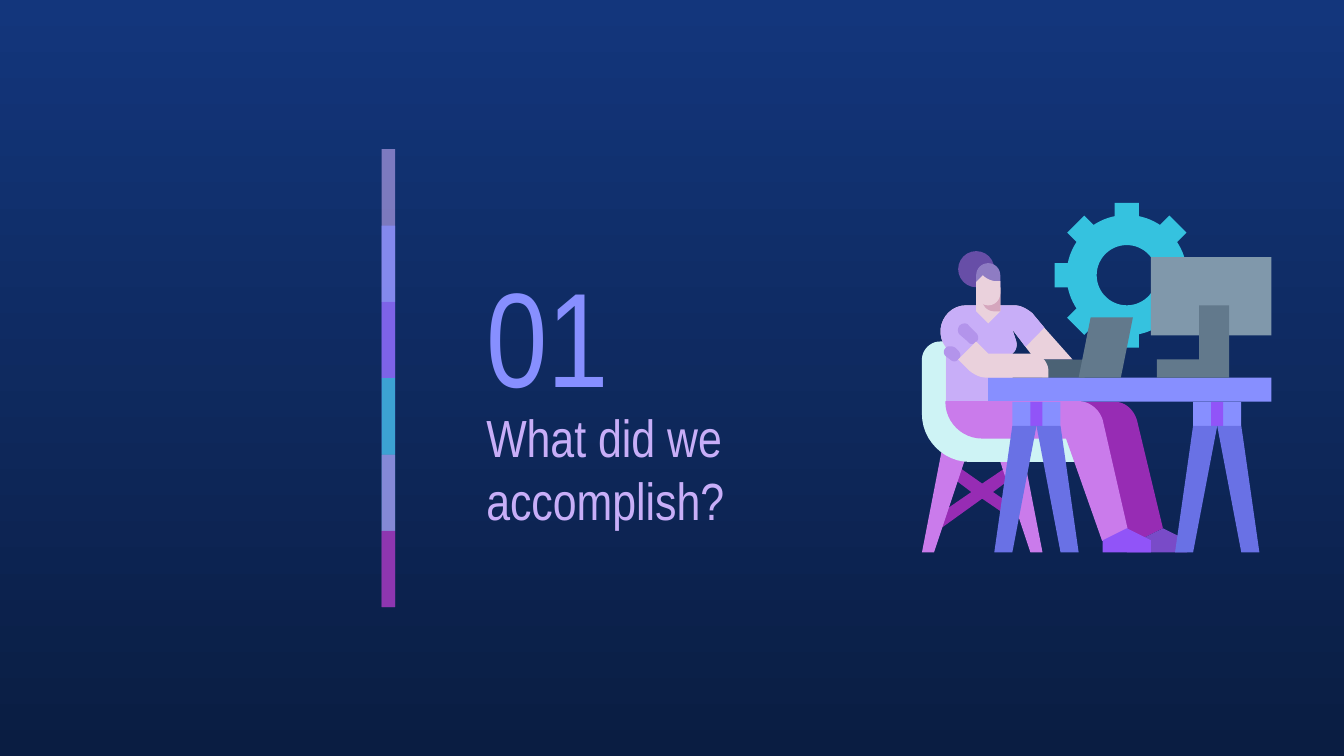
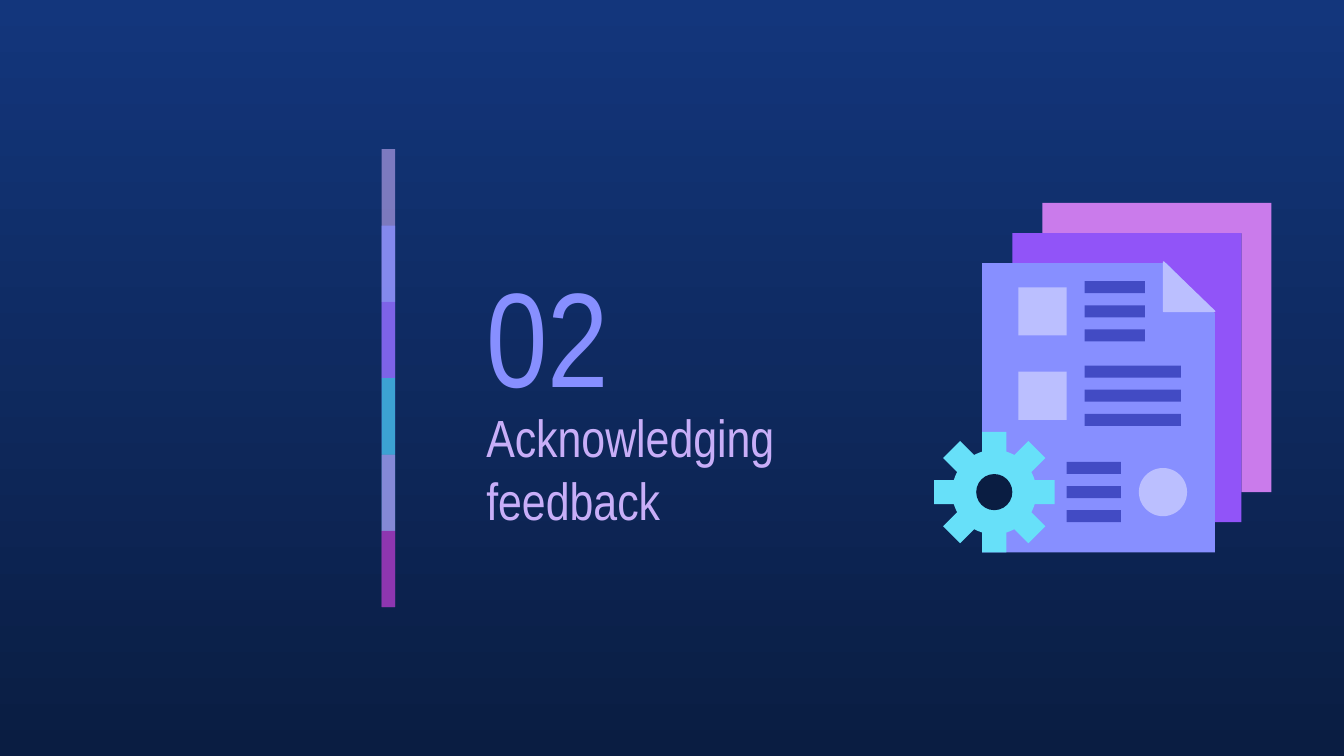
import math

import lxml.etree
import pptx
import pptx.dml.color
import pptx.enum.shapes
import pptx.enum.text
import pptx.oxml.ns
import pptx.util

FONT = "Arial Narrow"
NAVY, LILAC, BLUE, VIOLET = "0A1D42", "C8AEF8", "878FFF", "9154F8"
CYAN, PINK, PLUM, SKIN = "35C2DF", "CA7BEB", "972CB4", "EAD1DC"
SLATE, PALE, INK, INDIGO = "62798C", "BBBFFF", "424BC4", "6971E5"
CUFF = "B394EB"

# Grids: left, top and cell size in inches
PAGE = (0, 0, 0.1)
ART = (6.86, 1.51, 2.6 / 58)

KIND = pptx.enum.shapes.MSO_SHAPE


def paint(text):
    return pptx.dml.color.RGBColor.from_string(text)


def trace(text):
    """Turn 'x y' corners and six-number curves into a list of points."""
    points = []
    for part in text.split(","):
        nums = [float(n) for n in part.split()]
        if len(nums) == 2:
            points.append(tuple(nums))
            continue
        knots = [points[-1]] + list(zip(nums[::2], nums[1::2]))
        for step in range(1, 13):
            t = step / 12
            mix = ((1 - t) ** 3, 3 * t * (1 - t) ** 2, 3 * t * t * (1 - t), t ** 3)
            points.append(tuple(sum(m * k[i] for m, k in zip(mix, knots)) for i in (0, 1)))
    return points


def ring(x, y, radius, count=60):
    """Points of a circle, running anticlockwise."""
    turn = 2 * math.pi / count
    return [(x + radius * math.cos(i * turn), y - radius * math.sin(i * turn))
            for i in range(count)]


class Deck:
    def __init__(self):
        self.file = pptx.Presentation()
        self.file.slide_width = pptx.util.Inches(10)
        self.file.slide_height = pptx.util.Inches(5.625)
        self.grid = PAGE
        fill = self.file.slide_master.background.fill
        fill.gradient()
        fill.gradient_angle = 270
        for stop, place, color in zip(fill.gradient_stops, (0, 1), ("13367C", NAVY)):
            stop.position = place
            stop.color.rgb = paint(color)

    def size(self, cells):
        return pptx.util.Inches(cells * self.grid[2])

    def spot(self, x, y):
        left, top, cell = self.grid
        return pptx.util.Inches(left + x * cell), pptx.util.Inches(top + y * cell)

    def style(self, shape, color, line=None):
        shape.shadow.inherit = False
        shape.fill.solid()
        shape.fill.fore_color.rgb = paint(color)
        if line:
            shape.line.color.rgb = paint(line)
            shape.line.width = pptx.util.Pt(0.75)
        else:
            shape.line.fill.background()
        return shape

    def rect(self, x, y, w, h, color, kind=KIND.RECTANGLE):
        shape = self.slide.shapes.add_shape(
            kind, *self.spot(x, y), self.size(w), self.size(h))
        return self.style(shape, color)

    def disc(self, x, y, radius, color):
        self.rect(x - radius, y - radius, 2 * radius, 2 * radius, color, KIND.OVAL)

    def glass(self, x, y, w, h, color, share):
        shape = self.rect(x, y, w, h, color)
        tint = shape.element.spPr.find(".//" + pptx.oxml.ns.qn("a:srgbClr"))
        alpha = lxml.etree.SubElement(tint, pptx.oxml.ns.qn("a:alpha"))
        alpha.set("val", str(share * 1000))

    def loops(self, loops, color, line=None):
        pen = None
        for loop in loops:
            first, *rest = [self.spot(*point) for point in loop]
            if pen is None:
                pen = self.slide.shapes.build_freeform(*first, scale=1.0)
            else:
                pen.move_to(*first)
            pen.add_line_segments(rest, close=True)
        self.style(pen.convert_to_shape(), color, line)

    def free(self, text, color, line=None):
        self.loops([trace(text)], color, line)

    def gear(self, x, y, tip, body, color, hole=0):
        """Eight teeth, each four cells wide, on a round body."""
        rim = []
        root = math.asin(2 / body)
        for tooth in range(8):
            a = tooth * math.pi / 4
            for out, side in ((tip, -2), (tip, 2)):
                rim.append((x + out * math.cos(a) - side * math.sin(a),
                            y + out * math.sin(a) + side * math.cos(a)))
            gap = math.pi / 4 - 2 * root
            for step in range(7):
                b = a + root + gap * step / 6
                rim.append((x + body * math.cos(b), y + body * math.sin(b)))
        self.loops([rim] + ([ring(x, y, hole)] if hole else []), color)

    def text(self, x, y, w, h, words, size, color):
        box = self.slide.shapes.add_textbox(
            *self.spot(x, y), self.size(w), self.size(h))
        frame = box.text_frame
        frame.word_wrap = True
        frame.vertical_anchor = pptx.enum.text.MSO_ANCHOR.MIDDLE
        for side in ("left", "top", "right", "bottom"):
            setattr(frame, "margin_" + side, pptx.util.Inches(0.1))
        para = frame.paragraphs[0]
        para.text = words
        para.font.name = FONT
        para.font.size = pptx.util.Pt(size)
        para.font.color.rgb = paint(color)

    def section(self, number, title):
        """Start a slide with the colour strip, number and title."""
        self.slide = self.file.slides.add_slide(self.file.slide_layouts[6])
        self.grid = PAGE
        strip = [(LILAC, 59), (BLUE, 74), (VIOLET, 53), (CYAN, 76), (PINK, 56), (PLUM, 74)]
        step = 5.68
        for i, (color, share) in enumerate(strip):
            tall = step * min(2, len(strip) - i)
            self.glass(28.4, 11.1 + i * step, 1, tall, color, share)
        self.text(35.2, 18.1, 17.5, 13.5, number, 72, BLUE)
        self.text(35.2, 31.5, 28.7, 6.7, title, 28, LILAC)
        self.grid = ART


def trestle(deck, x):
    deck.rect(x, 33, 8, 4, BLUE)
    deck.rect(x + 3, 33, 2, 4, VIOLET)
    for xs in ((0, -3, 0, 4), (4, 8, 11, 8)):
        deck.loops([[(x + dx, y) for dx, y in zip(xs, (37, 58, 58, 37))]], INDIGO)


def worker(deck):
    deck.gear(34, 12, 12, 10, CYAN, hole=5)
    deck.rect(20, 26, 7, 3, "4B6275")

    # Chair
    deck.free("5.6 43.5, 4.5 45.2, 8.2 48, 1.8 52.4, 2.9 54.2, 10 49.1, 13.8 51.7,"
              "15 50.2, 11.8 48, 15.4 45.3, 14.3 43.7, 10 46.6", PLUM)
    deck.free("12 40, 18 58, 20 58, 16.5 40", PINK)
    deck.free("3.5 40, 0 58, 2 58, 8 40", PINK)
    deck.free("3 23, 1.4 23 0 24.4 0 26, 0 35, 0 39.4 3.6 43 8 43, 27 43, 27 38,"
              "10 38, 7.3 38 5 35.8 5 33, 5 23", "CEF3F5")

    # Far leg and shoe
    deck.free("10 33, 10 36.3 12.7 39 16 39, 30 39, 34 56, 36 56, 40 54, 35.7 36.1,"
              "35.2 34.3 33.7 33 32 33", PLUM)
    deck.free("40 54, 36 56, 34 56, 34 58, 44 58, 44 56", "794BC8")

    # Arm and shirt share the torso outline
    torso = ("7.4 17, 3.8 17 1.8 21.2 4 24, 4 33, 15 33, 15 25,"
             "15.6 24.6 15.9 23.7 15.6 22.8, 15 21, 17.2 23.9,")
    neck = "20.3 20.7, 18.3 18.3, 17.4 17.6 16.5 17 15.2 17"
    deck.free(torso + "18.8 26, 25 26," + neck, SKIN)
    deck.free(torso + neck, LILAC)
    deck.rect(11, 29, 47, 4, BLUE)
    deck.free("4.7 23.8, 4.5 23.8 4.2 23.8 4 24, 3.5 24.5 3.5 25 4 25.5, 4.7 26,"
              "4.9 26.2 5.1 26.3 5.4 26.3, 5.6 26.3 5.8 26.2 6 26,"
              "6.5 25.6 6.5 25 6 24.5, 5.6 24.1, 5.4 23.9 5 23.8 4.7 23.8", CUFF)
    deck.free("7.1 20, 6.8 20 6.5 20.1 6.2 20.4, 5.9 20.8 5.9 21.4 6.2 21.8, 7.6 23,"
              "7.8 23.3 8 23.4 8.3 23.4, 8.6 23.4 8.9 23.3 9.1 23,"
              "9.4 22.7 9.4 22.1 9.1 21.7, 7.8 20.4, 7.6 20.1 7.4 20 7.1 20", CUFF)
    deck.free("9 14, 9 18, 11 20, 13 18, 13 14", SKIN)
    deck.free("9 23, 6 26, 7.8 27.8, 8.7 28.5 9.6 29 10.7 29, 21 29, 21 28,"
              "21 26.3 19.7 25 18 25, 11 25", SKIN)
    deck.free("28 19, 26 29, 33 29, 35 19", SLATE)

    # Near leg and shoe
    deck.free("4 33, 4 36.3 6.7 39 10 39, 24 39, 30 56, 34 54, 29.9 36.1,"
              "29.4 34.3 27.7 33 25.9 33", PINK, PINK)
    deck.free("34 54, 30 56, 30 58, 38 58, 38 56", VIOLET)

    # Screen and desk legs
    deck.rect(38, 9, 20, 13, "8098AB")
    deck.free("46 17, 46 26, 39 26, 39 29, 51 29, 51 17", SLATE)
    for x in (45, 15):
        trestle(deck, x)

    # Head
    deck.free("10 14, 10 16, 10 17.1 10.9 18 12 18, 13 18, 13 14", "D5A6BD")
    deck.disc(9, 11, 3, "674EA7")
    deck.free("11 10, 9.9 10 9 10.9 9 12, 9 14, 13 14, 13 12, 13 10.9 12.1 10 11 10",
              "8E7CC3")
    deck.free("10.1 12, 9 13.1, 9 15, 9 16.1 9.9 17 11 17, 12.1 17 13 16.1 13 15,"
              "13 13, 12.4 13, 11.6 13 10.7 12.6 10.1 12", SKIN)


def papers(deck):
    # Stacked sheets
    deck.free("20 0, 20 5, 53 5, 53 48, 58 48, 58 0", PINK)
    deck.free("15 5, 15 10, 40 10, 48 18, 48 53, 53 53, 53 5", VIOLET)
    deck.free("10 10, 10 58, 48.6 58, 48.6 18.3, 40.6 10", BLUE)

    # Gear
    deck.gear(12, 48, 10, 7, "67E0F9")
    deck.disc(12, 48, 3, NAVY)

    # Boxes, seal, lines of writing and folded corner
    for y in (14, 28):
        deck.rect(16, y, 8, 8, PALE)
    deck.disc(40, 48, 4, PALE)
    for x, y, wide in ((27, 13, 10), (27, 27, 16), (24, 43, 9)):
        for row in range(3):
            deck.rect(x, y + 4 * row, wide, 2, INK)
    deck.free("40.1 9.8, 40.1 18, 48.6 18", PALE, PALE)


def main():
    deck = Deck()
    deck.section("01", "What did we accomplish?")
    worker(deck)
    deck.section("02", "Acknowledging feedback")
    papers(deck)
    deck.file.save("out.pptx")


if __name__ == "__main__":
    main()
